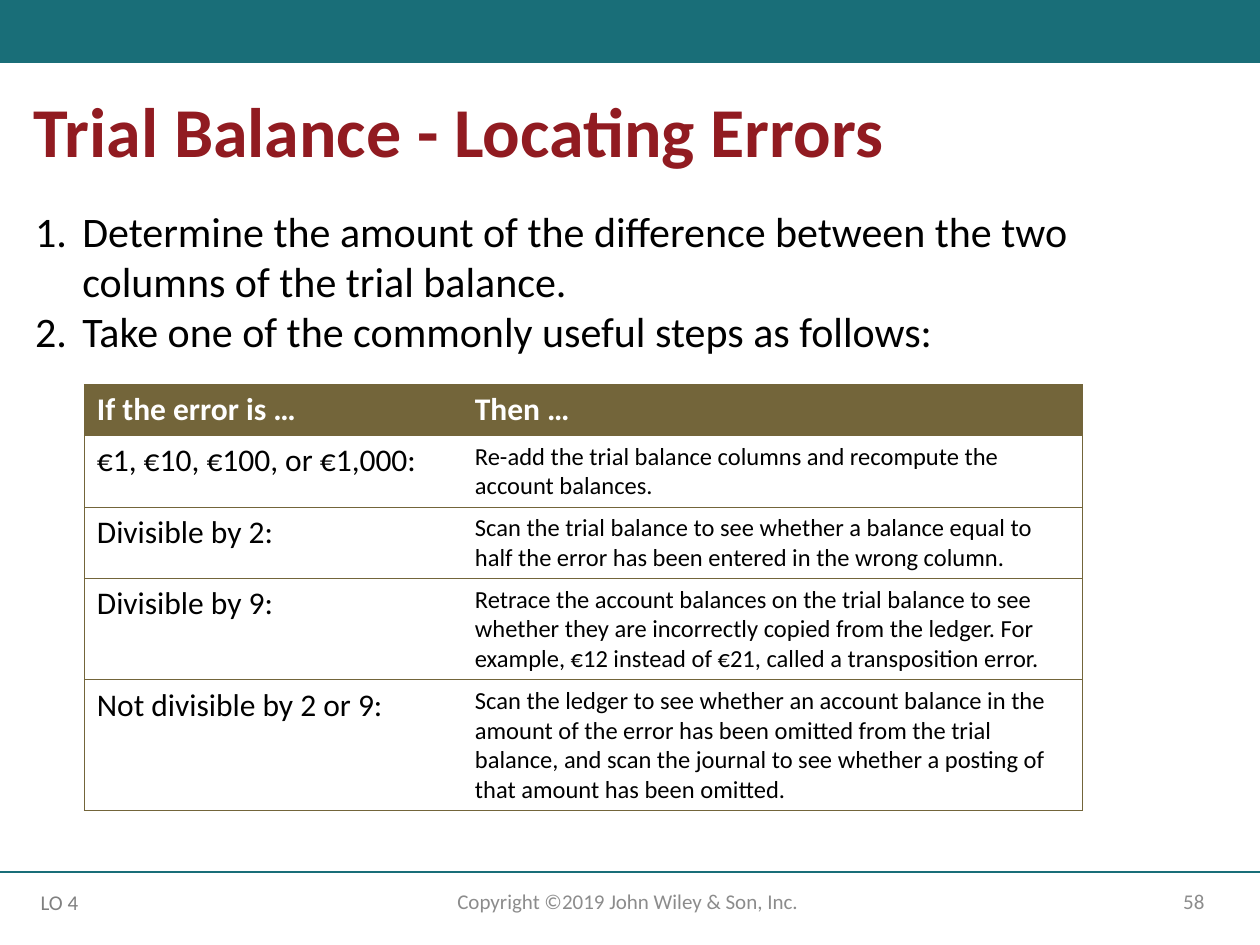
import pptx
import pptx.util
import pptx.dml.color
import pptx.enum.shapes
import pptx.enum.text
import pptx.oxml.ns
from lxml import etree

Cm, Pt = pptx.util.Cm, pptx.util.Pt
ALIGN = pptx.enum.text.PP_ALIGN
ANCHOR = pptx.enum.text.MSO_ANCHOR

TEAL, RED, OLIVE = "196E78", "911B21", "73653A"
BLACK, WHITE = "000000", "FFFFFF"

STEPS = [
    "Determine the amount of the difference between the two columns of the trial balance.",
    "Take one of the commonly useful steps as follows:",
]
ROWS = [
    ("If the error is …", "Then …"),
    ("€1, €10, €100, or €1,000:",
     "Re-add the trial balance columns and recompute the account balances."),
    ("Divisible by 2:",
     "Scan the trial balance to see whether a balance equal to half the error "
     "has been entered in the wrong column."),
    ("Divisible by 9:",
     "Retrace the account balances on the trial balance to see whether they are "
     "incorrectly copied from the ledger. For example, €12 instead of €21, "
     "called a transposition error."),
    ("Not divisible by 2 or 9:",
     "Scan the ledger to see whether an account balance in the amount of the error "
     "has been omitted from the trial balance, and scan the journal to see whether "
     "a posting of that amount has been omitted."),
]
HEIGHTS = [1.03, 1.44, 1.44, 2.04, 2.63]


def color(code):
    return pptx.dml.color.RGBColor.from_string(code)


def add_tag(parent, tag, **attrs):
    return etree.SubElement(parent, pptx.oxml.ns.qn(tag), **attrs)


def style(para, size, code, bold=False):
    for run in para.runs:
        font = run.font
        font.name, font.size, font.bold = "Calibri", Pt(size), bold
        font.color.rgb = color(code)


def add_text(slide, box, lines, size, code, bold=False,
             align=ALIGN.LEFT, anchor=ANCHOR.TOP):
    frame = slide.shapes.add_textbox(*map(Cm, box)).text_frame
    frame.word_wrap = True
    frame.vertical_anchor = anchor
    frame.text = "\n".join(lines)
    for para in frame.paragraphs:
        para.alignment = align
        style(para, size, code, bold)
    return frame


def add_band(slide, box):
    band = slide.shapes.add_shape(
        pptx.enum.shapes.MSO_SHAPE.RECTANGLE, *map(Cm, box))
    band.shadow.inherit = False
    band.fill.solid()
    band.fill.fore_color.rgb = color(TEAL)
    band.line.fill.background()


def add_title(slide, box):
    frame = add_text(slide, box, ["Trial Balance - Locating Errors"], 40, RED, True)
    frame.paragraphs[0].line_spacing = 0.9


def add_steps(slide, box):
    frame = add_text(slide, box, STEPS, 24, BLACK)
    hang = Cm(0.95)
    for para in frame.paragraphs:
        props = para._p.get_or_add_pPr()
        props.set("marL", str(hang))
        props.set("indent", str(-hang))
        add_tag(props, "a:buFont", typeface="+mj-lt")
        add_tag(props, "a:buAutoNum", type="arabicPeriod")


def set_edges(cell, open_side):
    """Rule every side of the cell but the open one."""
    props = cell._tc.get_or_add_tcPr()
    for side in "LRTB":
        edge = add_tag(props, "a:ln" + side, w=str(Pt(0.5)))
        if side == open_side:
            add_tag(edge, "a:noFill")
        else:
            fill = add_tag(edge, "a:solidFill")
            add_tag(fill, "a:srgbClr", val=OLIVE)


def add_grid(slide, box):
    table = slide.shapes.add_table(len(ROWS), 2, *map(Cm, box)).table
    table.horz_banding = False
    first = 7.62
    for col, width in zip(table.columns, (first, box[2] - first)):
        col.width = Cm(width)
    for r, texts in enumerate(ROWS):
        table.rows[r].height = Cm(HEIGHTS[r])
        head = r == 0
        for c, text in enumerate(texts):
            cell = table.cell(r, c)
            cell.text = text
            size = 18 if head or c == 0 else 14
            style(cell.text_frame.paragraphs[0], size, WHITE if head else BLACK, head)
            set_edges(cell, "RL"[c])
            cell.fill.solid()
            cell.fill.fore_color.rgb = color(OLIVE if head else WHITE)


def add_foot(slide, box):
    left, top, width, _ = box
    # Rule across the slide
    rule = slide.shapes.add_connector(
        pptx.enum.shapes.MSO_CONNECTOR.STRAIGHT,
        Cm(left), Cm(top), Cm(left + width), Cm(top))
    rule.line.color.rgb = color(TEAL)
    rule.line.width = Pt(1)
    add_tag(rule._element.spPr, "a:effectLst")

    # Goal, copyright and page number
    goal = add_text(slide, (left + 0.64, top + 0.23, 1.35, 0.76),
                    ["LO 4"], 12, "808080")
    goal.margin_left, goal.margin_right = Cm(0.18), 0
    add_text(slide, (left + 8.41, top + 0.08, 8.59, 1.02),
             ["Copyright ©2019 John Wiley & Son, Inc. "], 12, "8C8C8C",
             align=ALIGN.CENTER, anchor=ANCHOR.MIDDLE)
    add_text(slide, (left + 17.93, top + 0.08, 6.6, 1.02), ["58"], 12, "8C8C8C",
             align=ALIGN.RIGHT, anchor=ANCHOR.MIDDLE)


def main():
    deck = pptx.Presentation()
    deck.slide_width, deck.slide_height = Cm(25.4), Cm(19.05)
    slide = deck.slides.add_slide(deck.slide_layouts[6])
    add_band(slide, (0, 0, 25.4, 1.27))
    add_title(slide, (0.43, 1.83, 24.56, 1.8))
    add_steps(slide, (0.46, 4.01, 23.04, 3.33))
    add_grid(slide, (1.7, 7.75, 20.12, sum(HEIGHTS)))
    add_foot(slide, (0, 17.58, 25.4, 1.47))
    deck.save("out.pptx")


if __name__ == "__main__":
    main()
